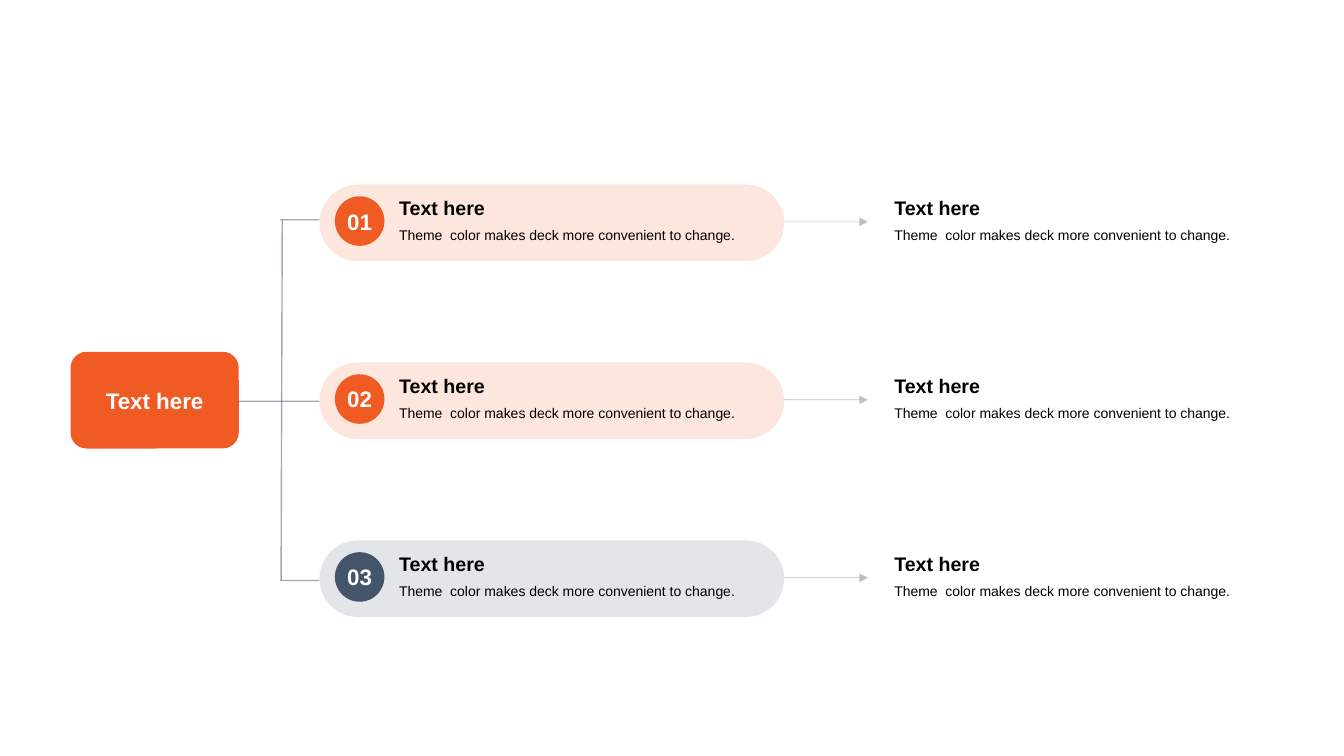
import pptx
import pptx.util
import pptx.dml.color
import pptx.enum.shapes
import pptx.enum.text
import pptx.oxml.ns
from dataclasses import dataclass
from lxml import etree

Pt = pptx.util.Pt
Kind = pptx.enum.shapes.MSO_SHAPE
Align = pptx.enum.text.PP_ALIGN
Anchor = pptx.enum.text.MSO_ANCHOR
qn = pptx.oxml.ns.qn


@dataclass(frozen=True)
class Theme:
    font: str = "Arial"
    orange: str = "F05A23"
    slate: str = "44546A"
    gray: str = "808080"
    black: str = "000000"
    white: str = "FFFFFF"
    label: int = 16
    head: int = 14
    body: int = 10
    tint: int = 15
    fade: int = 50


THEME = Theme()
HEAD = "Text here"
BODY = "Theme  color makes deck more convenient to change."


def paint(fill, color, alpha=100):
    fill.solid()
    fill.fore_color.rgb = pptx.dml.color.RGBColor.from_string(color)
    if alpha < 100:
        tone = fill._xPr.find(qn("a:solidFill"))[0]
        etree.SubElement(tone, qn("a:alpha"), val=str(alpha * 1000))


def write(shape, text, size, color, bold=False):
    shape.text_frame.text = text
    font = shape.text_frame.paragraphs[0].runs[0].font
    font.name, font.size, font.bold = THEME.font, Pt(size), bold
    font.color.rgb = pptx.dml.color.RGBColor.from_string(color)


def block(slide, kind, box, color, alpha=100, text=None):
    shape = slide.shapes.add_shape(kind, *map(Pt, box))
    shape.shadow.inherit = False
    paint(shape.fill, color, alpha)
    shape.line.fill.background()
    if text:
        write(shape, text, THEME.label, THEME.white, True)
        frame = shape.text_frame
        frame.vertical_anchor = Anchor.MIDDLE
        frame.word_wrap = kind != Kind.OVAL
        frame.paragraphs[0].alignment = Align.CENTER
    return shape


def wire(slide, start, end, color, width, arrow=False):
    line = slide.shapes.add_connector(
        pptx.enum.shapes.MSO_CONNECTOR.STRAIGHT, *map(Pt, start + end))
    line.line.width = Pt(width)
    paint(line.line.fill, color, THEME.fade)
    props = line._element.spPr
    if arrow:
        etree.SubElement(props.find(qn("a:ln")), qn("a:tailEnd"), type="triangle")
    etree.SubElement(props, qn("a:effectLst"))


def note(slide, left, top):
    """Heading with one line of body text below it."""
    parts = ((0, 24.5, HEAD, THEME.head, True),
             (22.2, 19.4, BODY, THEME.body, False))
    for drop, height, text, size, bold in parts:
        box = slide.shapes.add_textbox(Pt(left), Pt(top + drop), Pt(277), Pt(height))
        box.text_frame.word_wrap = True
        write(box, text, size, THEME.black, bold)


def tree(slide, box, right, rows):
    """Root box and the bracket that joins it to the rows."""
    left, top, width, height = box
    trunk = right - 27
    first, mid, last = rows
    for start, y in ((trunk - 1, first), (left + width, mid), (trunk - 1, last)):
        wire(slide, (start, y), (right, y), THEME.slate, 1)
    wire(slide, (trunk + 0.4, first), (trunk - 0.4, last), THEME.slate, 1)
    block(slide, Kind.ROUNDED_RECTANGLE, box, THEME.orange, text=HEAD)


def branch(slide, box, label, color):
    """Pill with number and text, then an arrow to the outer text."""
    left, top, width, height = box
    pill = block(slide, Kind.ROUNDED_RECTANGLE, box, color, THEME.tint)
    pill.adjustments[0] = 0.5
    block(slide, Kind.OVAL, (left + 11, top + 8.4, 35.4, 35.4), color, text=label)
    note(slide, left + 49.8, top + 4.4)
    end, mid = left + width, top + 26.7
    wire(slide, (end, mid), (end + 59.8, mid), THEME.gray, 0.5, True)
    note(slide, end + 71.6, top + 4.4)


def main():
    deck = pptx.Presentation()
    deck.slide_width, deck.slide_height = Pt(960), Pt(540)
    slide = deck.slides.add_slide(deck.slide_layouts[6])

    # Root and bracket
    left, top, pitch = 228.2, 131.8, 127.1
    tree(slide, (50.4, 251.3, 120.2, 69.1), left, (157, 286.6, 414.7))

    # Three branches
    colors = (THEME.orange, THEME.orange, THEME.slate)
    for i, color in enumerate(colors):
        box = (left, top + i * pitch, 331.9, 54.7)
        branch(slide, box, f"{i + 1:02}", color)

    deck.save("out.pptx")


if __name__ == "__main__":
    main()
